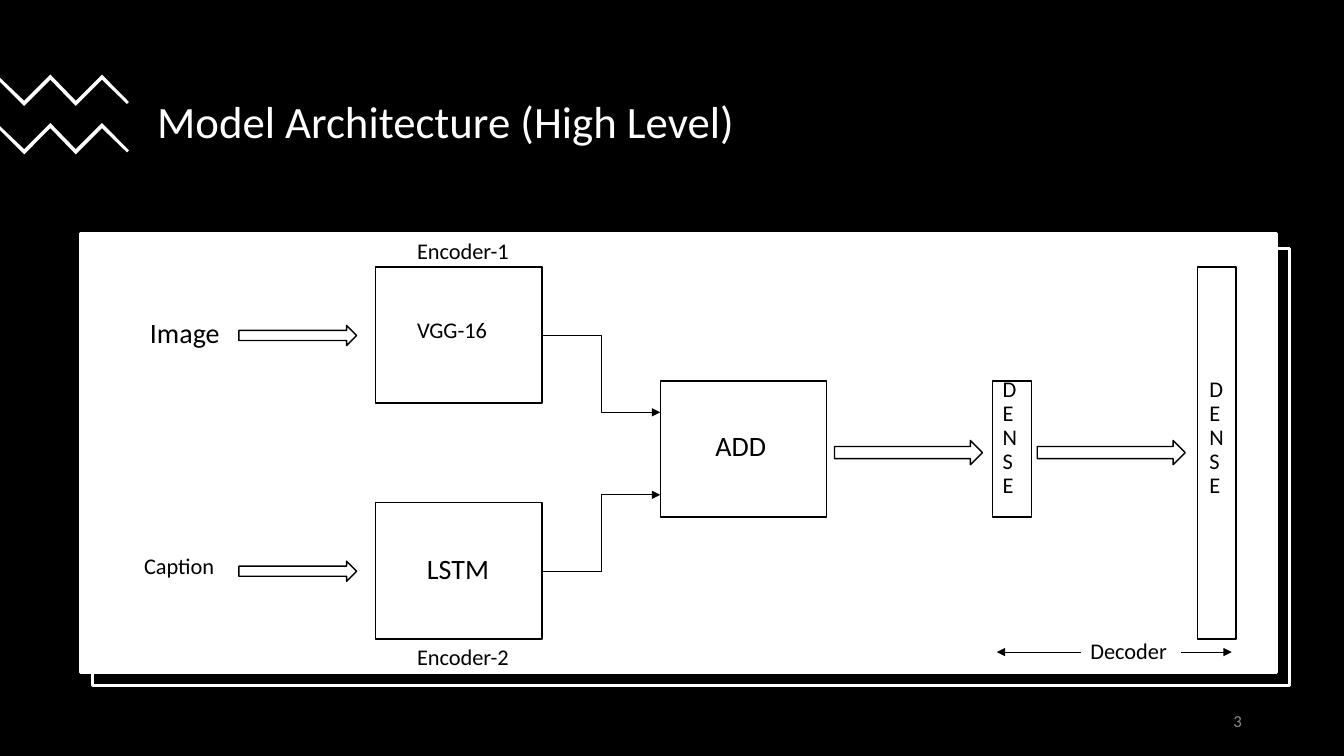
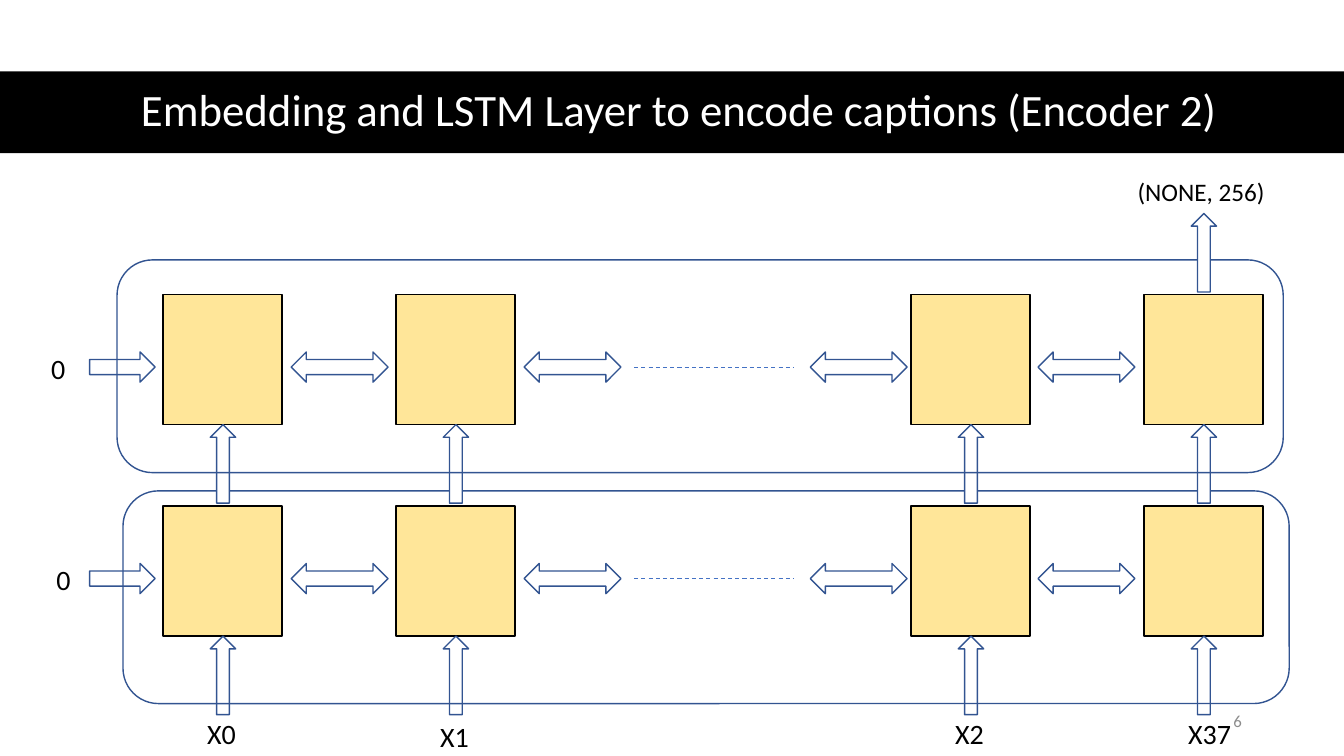
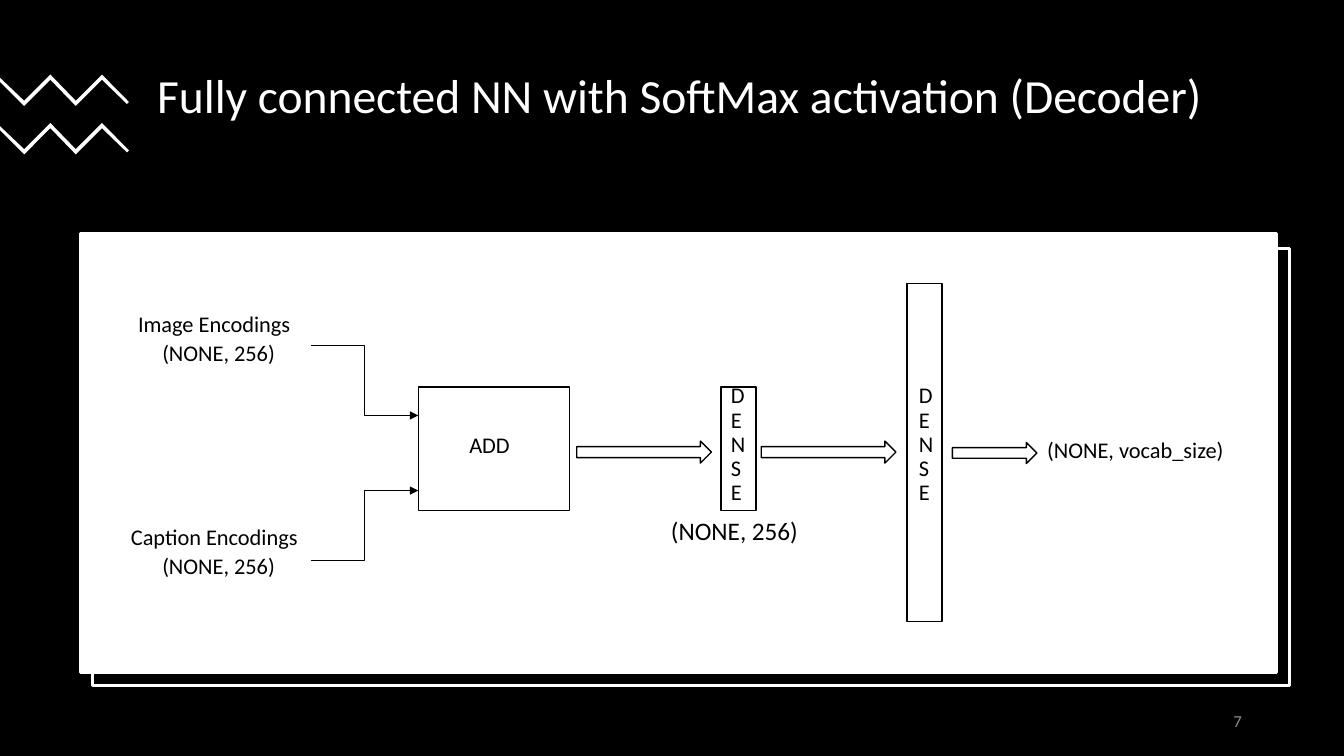
from lxml import etree
from pptx import Presentation, util as u
from pptx.dml.color import RGBColor
from pptx.enum import dml, shapes, text
from pptx.oxml.ns import qn

BLACK = RGBColor(0, 0, 0)
WHITE = RGBColor(255, 255, 255)
GRAY = RGBColor(0x8C, 0x8C, 0x8C)
NAVY = RGBColor(0x32, 0x54, 0x91)
BLUE = RGBColor(0x44, 0x72, 0xC4)
GOLD = RGBColor(0xFF, 0xE6, 0x99)
FONT = "Calibri"
KIND = shapes.MSO_SHAPE
LINK = shapes.MSO_CONNECTOR
ALIGN = text.PP_ALIGN
WIDE, HIGH = 33.87, 19.05
CELL_W, CELL_H = 3, 3.28
COLS = (4.11, 9.98, 22.96, 28.83)


def cms(*sizes):
    return [u.Cm(size) for size in sizes]


def paint(shape, fill=None, line=None, width=1):
    shape.shadow.inherit = False
    if fill is None:
        shape.fill.background()
    else:
        shape.fill.solid()
        shape.fill.fore_color.rgb = fill
    if line is None:
        shape.line.fill.background()
    else:
        shape.line.color.rgb = line
        shape.line.width = u.Pt(width)


def draw(slide, box, kind=KIND.RECTANGLE, fill=None, line=BLACK, width=1):
    shape = slide.shapes.add_shape(kind, *cms(*box))
    paint(shape, fill, line, width)


def write(slide, box, words, size=16, color=BLACK, align=ALIGN.LEFT,
          middle=False, space=0.9, after=6, lift=None):
    frame = slide.shapes.add_textbox(*cms(*box)).text_frame
    frame.word_wrap = True
    if middle:
        frame.vertical_anchor = text.MSO_ANCHOR.MIDDLE
    if lift:
        frame.margin_bottom = u.Cm(lift)
    para = frame.paragraphs[0]
    para.text = words
    para.alignment = align
    para.line_spacing = space
    para.space_after = u.Pt(after)
    para.font.name = FONT
    para.font.size = u.Pt(size)
    para.font.color.rgb = color


def label(slide, box, words, size=20):
    write(slide, box, words, size, space=1, after=0)


def link(slide, ends, kind=LINK.STRAIGHT, color=BLACK, width=0.5, dash=False):
    line = slide.shapes.add_connector(kind, *cms(*ends))
    line.line.color.rgb = color
    line.line.width = u.Pt(width)
    if dash:
        line.line.dash_style = dml.MSO_LINE.DASH
    else:
        tip = etree.SubElement(line.line._get_or_add_ln(), qn("a:tailEnd"))
        tip.set("type", "triangle")
    etree.SubElement(line._element.spPr, qn("a:effectLst"))


def title(slide, box, words, size=32, align=ALIGN.LEFT, lift=None):
    write(slide, box, words, size, WHITE, align, True, after=0, lift=lift)


def number(slide, page):
    write(slide, (23.93, 17.65, 7.62, 1.02), str(page), 12, GRAY,
          ALIGN.RIGHT, True, 1, 0)


def zigzag(slide, top):
    upper = [(0, 0.08), (0.61, 0.66), (1.27, 0), (1.91, 0.66),
             (2.57, 0), (3.25, 0.69)]
    lower = [(3.2, 0.74), (2.57, 0.13), (1.91, 0.79), (1.27, 0.13),
             (0.61, 0.79), (0, 0.18)]
    points = [cms(x, top + y) for x, y in upper + lower]
    path = slide.shapes.build_freeform(*points[0])
    path.add_line_segments(points[1:], close=True)
    paint(path.convert_to_shape(), WHITE)


def board(slide, words, page, size=32, lift=None):
    draw(slide, (0, 0, WIDE, HIGH), fill=BLACK, line=None)
    title(slide, (3.71, 1.57, 27.08, 3.12), words, size, lift=lift)
    for top in (1.88, 3.1):
        zigzag(slide, top)
    draw(slide, (2.34, 6.27, 30.15, 11), fill=BLACK, line=WHITE, width=2.25)
    draw(slide, (2.03, 5.89, 30.15, 11.05), fill=WHITE, line=WHITE, width=2.25)
    number(slide, page)


def merge(slide, left, top, scale=1.0, size=20):
    def fit(x, y, w, h):
        return left + x * scale, top + y * scale, w * scale, h * scale

    draw(slide, fit(0, 0, 4.19, 3.43))
    write(slide, fit(1.14, 1.17, 1.88, 1.07), "ADD", size)
    draw(slide, fit(8.38, 0, 0.97, 3.43))
    draw(slide, fit(13.54, -2.87, 0.97, 9.37))
    for x in (8.38, 13.59):
        write(slide, fit(x, -0.2, 0.97, 3.84), "DENSE")
    for x in (4.39, 9.5):
        draw(slide, fit(x, 1.5, 3.73, 0.61), KIND.RIGHT_ARROW)
    for start, end in ((-1.14, 0.79), (4.8, 2.87)):
        link(slide, (left - 2.97 * scale, top + start * scale,
                     left, top + end * scale), LINK.ELBOW)


def encoder(slide, left, top, name, inset, size):
    draw(slide, (left, top, 4.19, 3.43))
    write(slide, (left + inset, top + 1.19, 2.62, 1.07), name, size)
    draw(slide, (left - 3.45, top + 1.47, 2.97, 0.51), KIND.RIGHT_ARROW)


def decoder(slide, left, top):
    write(slide, (left + 2.11, top, 2.67, 1.07), "Decoder")
    for start, end in ((2.13, 0), (4.65, 5.92)):
        link(slide, (left + start, top + 0.43, left + end, top + 0.43))


def model(slide):
    board(slide, "Model Architecture (High Level)", 3)
    encoder(slide, 9.47, 6.73, "VGG-16", 0.79, 16)
    encoder(slide, 9.47, 12.67, "LSTM", 1.04, 20)
    write(slide, (3.53, 7.92, 2.62, 1.07), "Image", 20)
    write(slide, (3.38, 13.87, 2.69, 1.07), "Caption")
    for top, name in ((5.94, "Encoder-1"), (16.15, "Encoder-2")):
        write(slide, (10.26, top, 3.18, 1.07), name)
    merge(slide, 16.64, 9.6)
    decoder(slide, 25.12, 16)


def rise(slide, left, top):
    draw(slide, (left + 1.19, top, 0.64, 1.98), KIND.UP_ARROW, WHITE, NAVY)


def layer(slide, top, zero, frame):
    mid = top + 1.45
    draw(slide, (2.26, mid, 1.65, 0.76), KIND.RIGHT_ARROW, WHITE, NAVY)
    for left in COLS:
        draw(slide, (left, top, CELL_W, CELL_H), fill=GOLD)
        rise(slide, left, top + CELL_H)
    for left in (7.34, 13.21, 20.42, 26.16):
        draw(slide, (left, mid, 2.44, 0.76), KIND.LEFT_RIGHT_ARROW, WHITE, NAVY)
    link(slide, (15.98, top + 1.83, 20.02, top + 1.83),
         color=BLUE, width=0.75, dash=True)
    label(slide, (zero, top + 1.31, 0.89, 1.04), "0")
    draw(slide, (*frame, 29.39, 5.36), KIND.ROUNDED_RECTANGLE, line=NAVY)


def caption(slide):
    draw(slide, (0, 1.8, WIDE, 2.06), fill=BLACK, line=None)
    title(slide, (1.55, 1.78, 31.14, 2.06),
          "Embedding and LSTM Layer to encode captions\u00a0(Encoder 2)",
          align=ALIGN.CENTER)
    layer(slide, 12.75, 1.17, (3.1, 12.37))
    layer(slide, 7.42, 1.04, (2.95, 6.55))
    rise(slide, COLS[-1], 5.38)
    label(slide, (28.42, 4.32, 3.78, 0.97), "(NONE, 256)", 18)
    tops = (17.93, 18.01, 17.93, 17.93)
    for left, top, name in zip(COLS, tops, ("X0", "X1", "X2", "X37")):
        wide = 1.88 if name == "X37" else 1.3
        label(slide, (left + 0.86, top, wide, 1.04), name)
    number(slide, 6)


def output(slide):
    board(slide, "Fully connected NN with SoftMax activation (Decoder)", 7,
          34, 1.43)
    merge(slide, 10.54, 9.75, 0.91, 16)
    for left, top, name in ((3.23, 7.77, "Image Encodings"),
                            (3.05, 13.13, "Caption Encodings")):
        write(slide, (left, top, 5.08, 0.97), name)
        write(slide, (3.84, top + 0.74, 3.66, 0.97), "(NONE, 256)")
    draw(slide, (24, 11.15, 2.13, 0.53), KIND.RIGHT_ARROW)
    write(slide, (26.14, 10.95, 5.41, 0.97), "(NONE, vocab_size)")
    label(slide, (16.66, 12.85, 4.09, 1.02), "(NONE,\u00a0256)", 18)


deck = Presentation()
deck.slide_width, deck.slide_height = cms(WIDE, HIGH)
for build in (model, caption, output):
    build(deck.slides.add_slide(deck.slide_layouts[6]))
deck.save("out.pptx")
